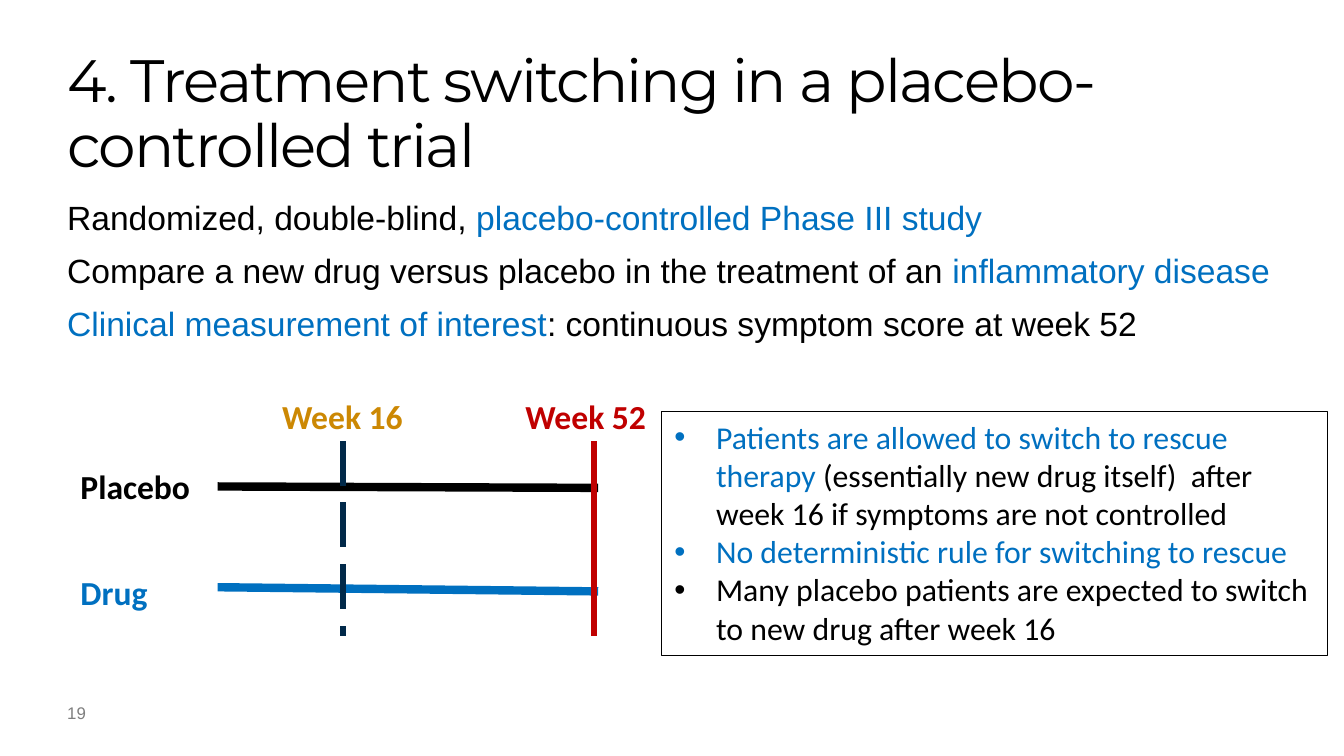
from dataclasses import dataclass

from lxml import etree
from pptx import Presentation
from pptx.dml.color import RGBColor
from pptx.enum import dml, shapes, text
from pptx.oxml.ns import qn
from pptx.util import Inches, Pt

BLACK, BLUE, RED = "000000", "0070C0", "C00000"
NAVY, GOLD, GREY = "012949", "CC8803", "7F7F7F"

Runs = list[tuple[str, str]]  # wording and colour of each run


@dataclass
class Label:
    wording: str
    colour: str
    left: float
    top: float
    width: float


@dataclass
class Line:
    start: tuple[float, float]
    end: tuple[float, float]
    colour: str
    weight: float
    dashed: bool = False


def colour_of(value: str) -> RGBColor:
    return RGBColor.from_string(value)


def fill_text(shape, paragraphs: list[Runs], font: str, size: float,
              bold: bool = False, spacing: float = 1, before: float = 0) -> None:
    frame = shape.text_frame
    for index, runs in enumerate(paragraphs):
        paragraph = frame.paragraphs[0] if index == 0 else frame.add_paragraph()
        paragraph.alignment = text.PP_ALIGN.LEFT
        paragraph.line_spacing = spacing
        paragraph.space_before = Pt(before)
        paragraph.font.name = font
        paragraph.font.size = Pt(size)
        paragraph.font.bold = bold
        for wording, colour in runs:
            run = paragraph.add_run()
            run.text = wording
            run.font.color.rgb = colour_of(colour)


def add_text_box(slide, left: float, top: float, width: float, height: float):
    """Add a wrapping text box without margins."""
    box = slide.shapes.add_textbox(Inches(left), Inches(top), Inches(width), Inches(height))
    frame = box.text_frame
    frame.word_wrap = True
    frame.margin_left = frame.margin_right = frame.margin_top = frame.margin_bottom = 0
    return box


def add_label(slide, label: Label) -> None:
    box = slide.shapes.add_textbox(Inches(label.left), Inches(label.top),
                                   Inches(label.width), Inches(0.4))
    box.text_frame.word_wrap = False
    box.text_frame.auto_size = text.MSO_AUTO_SIZE.SHAPE_TO_FIT_TEXT
    fill_text(box, [[(label.wording, label.colour)]], "Calibri", 18, bold=True)


def add_line(slide, line: Line) -> None:
    """Draw a straight line with square ends."""
    connector = slide.shapes.add_connector(
        shapes.MSO_CONNECTOR.STRAIGHT,
        *(Inches(value) for value in line.start + line.end))
    connector.line.color.rgb = colour_of(line.colour)
    connector.line.width = Pt(line.weight)
    if line.dashed:
        connector.line.dash_style = dml.MSO_LINE.LONG_DASH
    properties = connector._element.spPr
    properties.find(qn("a:ln")).set("cap", "sq")
    etree.SubElement(properties, qn("a:effectLst"))


def add_bullets(shape, indent: float) -> None:
    for paragraph in shape.text_frame.paragraphs:
        properties = paragraph._p.get_or_add_pPr()
        properties.set("marL", str(Inches(indent)))
        properties.set("indent", str(-Inches(indent)))
        bullet_font = etree.Element(qn("a:buFont"), typeface="Arial")
        bullet = etree.Element(qn("a:buChar"), char="•")
        properties.find(qn("a:spcBef")).addnext(bullet_font)
        bullet_font.addnext(bullet)


def main() -> None:
    presentation = Presentation()
    presentation.slide_width = Inches(10)
    presentation.slide_height = Inches(10 * 9 / 16)
    slide = presentation.slides.add_slide(presentation.slide_layouts[6])

    # Title, with slightly tightened letters
    title = add_text_box(slide, 0.5, 0.38, 9, 1.05)
    fill_text(title, [[("4. Treatment switching in a placebo-controlled trial", BLACK)]],
              "Montserrat", 32, spacing=0.9)
    for run in title.text_frame.paragraphs[0].runs:
        run.font._element.set("spc", "-100")

    # Study description
    body = add_text_box(slide, 0.5, 1.5, 9.17, 3.4)
    fill_text(body, [
        [("Randomized, double-blind, ", BLACK),
         ("placebo-controlled Phase III study", BLUE)],
        [("Compare a new drug versus placebo in the treatment of an ", BLACK),
         ("inflammatory disease", BLUE)],
        [("Clinical measurement of interest", BLUE),
         (": continuous symptom score at week 52", BLACK)],
    ], "Arial", 18, spacing=0.9, before=9)

    # Slide number
    number = add_text_box(slide, 0.5, 5.23, 0.25, 0.25)
    fill_text(number, [[("19", GREY)]], "Arial", 9)

    # Switching rules
    rules = slide.shapes.add_shape(shapes.MSO_SHAPE.RECTANGLE, Inches(4.92), Inches(3.06),
                                   Inches(4.96), Inches(1.82))
    rules.shadow.inherit = False
    rules.fill.background()
    rules.line.color.rgb = colour_of(BLACK)
    rules.line.width = Pt(0.75)
    rules.text_frame.word_wrap = True
    rules.text_frame.auto_size = text.MSO_AUTO_SIZE.SHAPE_TO_FIT_TEXT
    rules.text_frame.vertical_anchor = text.MSO_ANCHOR.TOP
    fill_text(rules, [
        [("Patients are allowed to switch to rescue therapy", BLUE),
         (" (essentially new drug itself)  after week 16 if symptoms are not controlled", BLACK)],
        [("No deterministic rule for switching to rescue", BLUE)],
        [("Many placebo patients are expected to switch to new drug after week 16", BLACK)],
    ], "Calibri", 17)
    add_bullets(rules, 0.31)

    # Trial timeline: treatment arms, then week markers
    first, week_16, week_52 = 1.65, 2.55, 4.42
    top, bottom = 3.3, 4.71
    for line in (
        Line((first, 3.62), (week_52, 3.63), BLACK, 4.5),
        Line((first, 4.37), (week_52, 4.4), BLUE, 4.5),
        Line((week_16, top), (week_16, bottom), NAVY, 3, dashed=True),
        Line((week_52, top), (week_52, bottom), RED, 3),
    ):
        add_line(slide, line)

    for label in (
        Label("Placebo", BLACK, 0.5, 3.42, 1.02),
        Label("Drug", BLUE, 0.5, 4.21, 0.71),
        Label("Week 52", RED, 3.81, 2.9, 1.11),
        Label("Week 16", GOLD, 2, 2.9, 1.11),
    ):
        add_label(slide, label)

    presentation.save("out.pptx")


if __name__ == "__main__":
    main()
